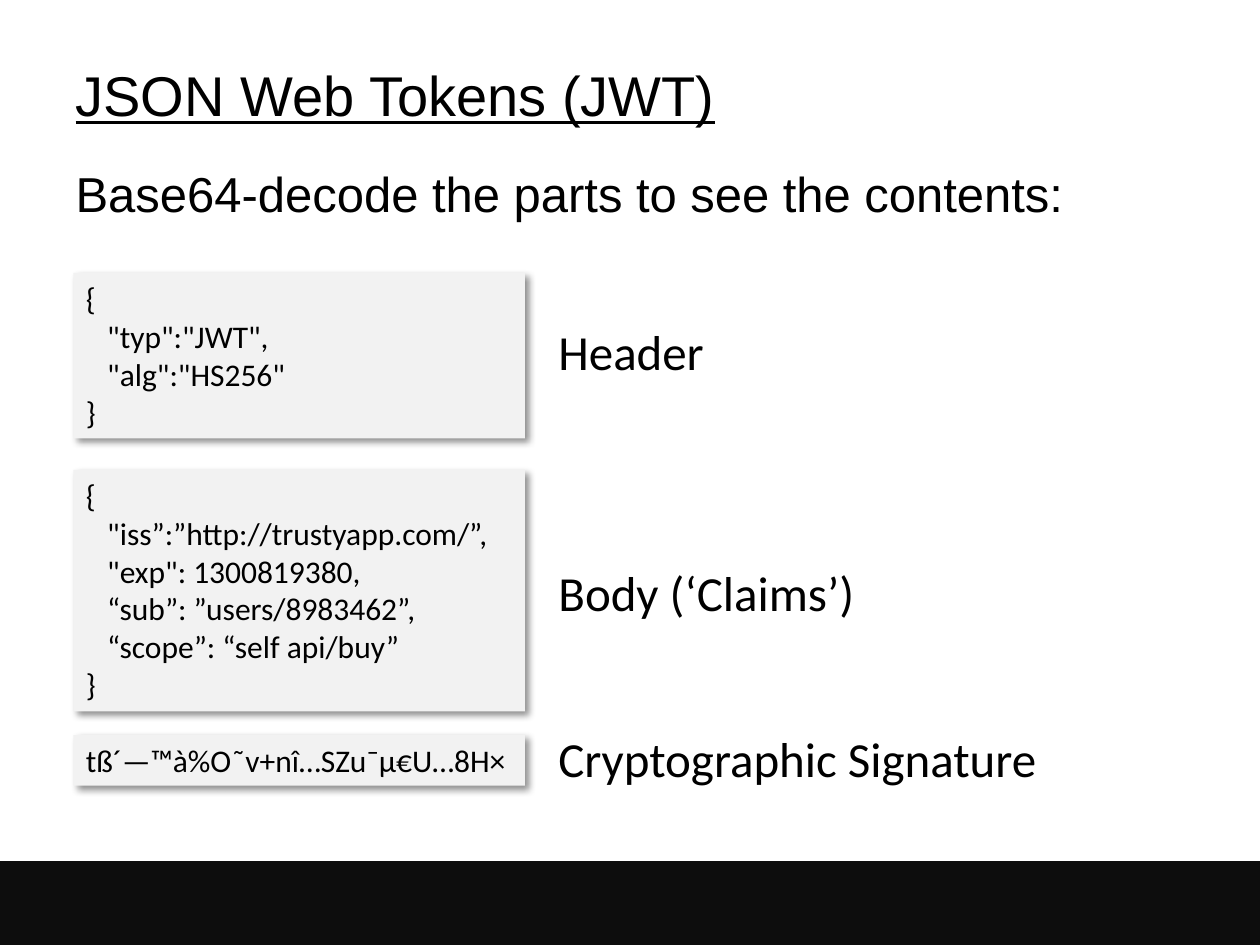
from lxml import etree
from pptx import Presentation
from pptx.dml.color import RGBColor
from pptx.enum import shapes, text
from pptx.oxml import ns
from pptx.util import Pt

COLORS = {"ink": "000000", "code": "F2F2F2", "band": "0D0D0D", "shadow": "000000"}
CODE_LEFT, CODE_WIDTH, LABEL_LEFT = 42, 258, 312
CODE_INDENT = 12.2

# code top, code height, label top, label width, label, code lines (indented?, text)
PARTS = [
    (156, 94.5, 180, 98.5, "Header",
     [(False, "{"), (True, '"typ":"JWT",'), (True, '"alg":"HS256"'), (False, "}")]),
    (268.5, 138, 318, 184.5, "Body (‘Claims’)",
     [(False, "{"), (True, '"iss”:”http://trustyapp.com/”,'),
      (True, '"exp": 1300819380,'), (True, "“sub”: ”users/8983462”,"),
      (True, "“scope”: “self api/buy”"), (False, "}")]),
    (420, 29, 412.5, 292.5, "Cryptographic Signature",
     [(False, "tß´—™à%O˜v+nî…SZu¯µ€U…8H×")]),
]


def color(name):
    return RGBColor.from_string(COLORS[name])


def set_all(target, **values):
    for name, value in values.items():
        setattr(target, name, value)


def place(sp, left, top, width, height):
    set_all(sp, left=Pt(left), top=Pt(top), width=Pt(width), height=Pt(height))


def write(p, words, size, font, underline=None):
    p.alignment = text.PP_ALIGN.LEFT
    r = p.add_run()
    r.text = words
    set_all(r.font, size=Pt(size), name=font, underline=underline)
    r.font.color.rgb = color("ink")


def add_box(s, left, top, width, height, fill):
    sp = s.shapes.add_shape(shapes.MSO_SHAPE.RECTANGLE,
                            Pt(left), Pt(top), Pt(width), Pt(height))
    sp.fill.solid()
    sp.fill.fore_color.rgb = color(fill)
    sp.line.fill.background()
    sp.shadow.inherit = False
    return sp


def add_shadow(sp):
    effects = sp._element.spPr.find(ns.qn("a:effectLst"))
    shadow = etree.SubElement(effects, ns.qn("a:outerShdw"), blurRad=str(Pt(4)),
                              dist=str(Pt(3)), dir="2700000", algn="tl", rotWithShape="0")
    clr = etree.SubElement(shadow, ns.qn("a:srgbClr"), val=COLORS["shadow"])
    etree.SubElement(clr, ns.qn("a:alpha"), val="43000")


def add_code(s, top, height, lines):
    sp = add_box(s, CODE_LEFT, top, CODE_WIDTH, height, "code")
    add_shadow(sp)
    tf = sp.text_frame
    set_all(tf, word_wrap=True, vertical_anchor=text.MSO_ANCHOR.TOP,
            auto_size=text.MSO_AUTO_SIZE.SHAPE_TO_FIT_TEXT)
    for i, (indented, words) in enumerate(lines):
        p = tf.add_paragraph() if i else tf.paragraphs[0]
        if indented:
            p._p.get_or_add_pPr().set("marL", str(Pt(CODE_INDENT)))
        write(p, words, 18, "Calibri")


def add_label(s, top, width, words):
    sp = s.shapes.add_textbox(Pt(LABEL_LEFT), Pt(top), Pt(width), Pt(41))
    set_all(sp.text_frame, word_wrap=False,
            auto_size=text.MSO_AUTO_SIZE.SHAPE_TO_FIT_TEXT)
    write(sp.text_frame.paragraphs[0], words, 28, "Calibri")


def fill_title(sp):
    place(sp, 36, 30, 648, 48)
    set_all(sp.text_frame, vertical_anchor=text.MSO_ANCHOR.MIDDLE,
            auto_size=text.MSO_AUTO_SIZE.NONE)
    write(sp.text_frame.paragraphs[0], "JSON Web Tokens (JWT)", 32, "Arial", True)


def fill_body(sp):
    place(sp, 36, 90, 648, 42)
    sp.text_frame.auto_size = text.MSO_AUTO_SIZE.NONE
    p = sp.text_frame.paragraphs[0]
    p.space_before = Pt(5.6)
    pPr = p._p.get_or_add_pPr()
    pPr.set("marL", "0")
    pPr.set("indent", "0")
    etree.SubElement(pPr, ns.qn("a:buNone"))
    write(p, "Base64-decode the parts to see the contents:", 28, "Arial")


def main():
    prs = Presentation()
    set_all(prs, slide_width=Pt(720), slide_height=Pt(540))
    s = prs.slides.add_slide(prs.slide_layouts[1])
    add_box(s, 0, 492, 720, 48, "band")
    fill_title(s.shapes.title)
    fill_body(s.placeholders[1])
    for top, height, label_top, label_width, label, lines in PARTS:
        add_code(s, top, height, lines)
        add_label(s, label_top, label_width, label)
    prs.save("out.pptx")


if __name__ == "__main__":
    main()
